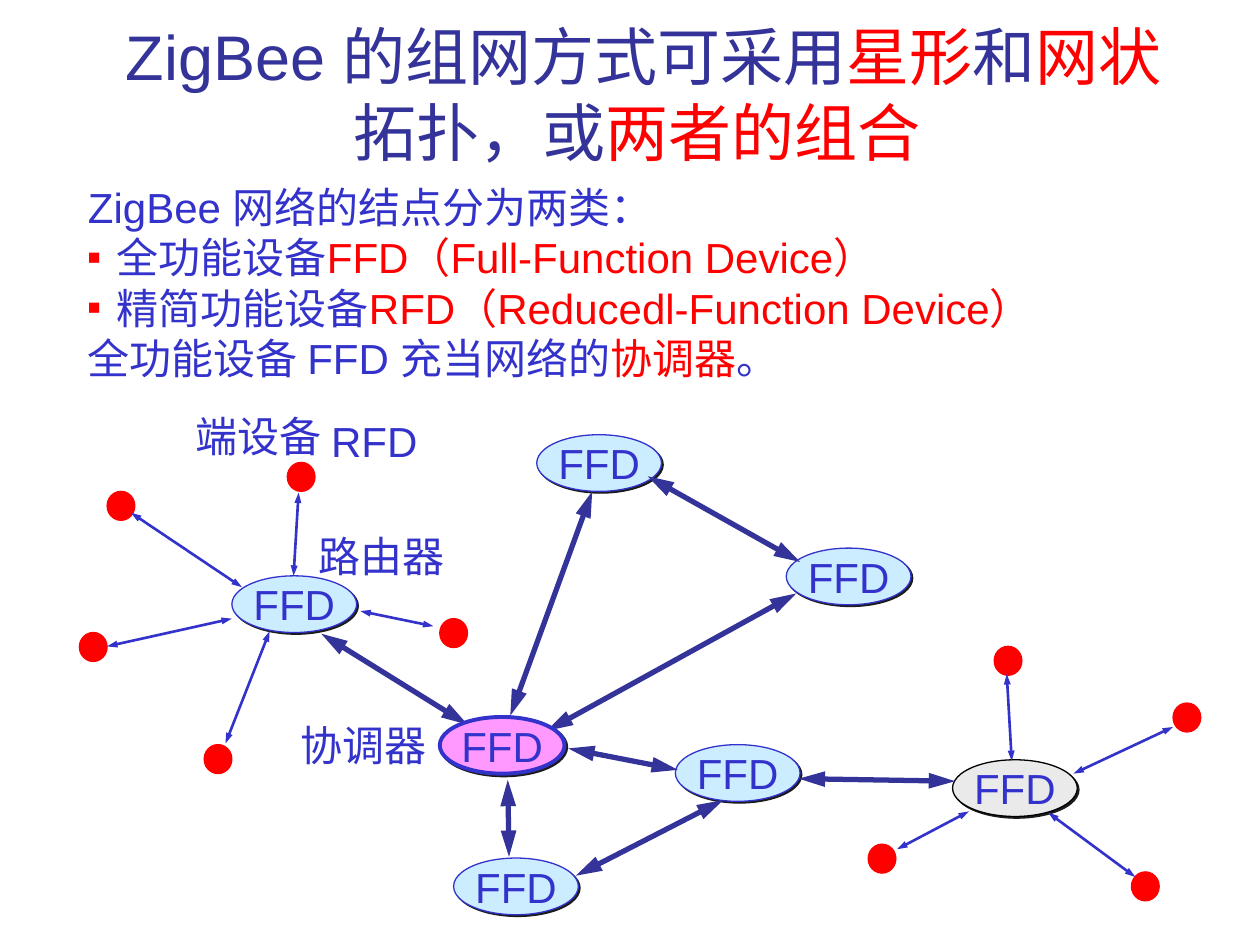
from lxml import etree
from pptx import Presentation
from pptx.dml.color import RGBColor
from pptx.enum import shapes, text
from pptx.oxml import ns
from pptx.util import Inches, Pt

C = {"navy": "333399", "blue": "3333CC", "red": "FF0000", "sky": "CCECFF",
     "pink": "FF99FF", "gray": "EAEAEA", "black": "000000", "shadow": "1C1C1C"}
NODE = (0.99, 0.45)
DOT = (0.22, 0.23)


def rgb(name):
    return RGBColor.from_string(C[name])


def sub(parent, tag, **attrs):
    return etree.SubElement(parent, ns.qn(tag), attrs)


def add_runs(p, runs, size):
    """Fill a paragraph with (text, colour) or (text, colour, font) runs."""
    for content, color, *font in runs:
        r = p.add_run()
        r.text = content
        fmt = {"size": Pt(size), "name": font[0] if font else "Arial"}
        for key, value in fmt.items():
            setattr(r.font, key, value)
        r.font.color.rgb = rgb(color)


def add_oval(s, x, y, size, fill, line, width=0.75):
    sp = s.shapes.add_shape(shapes.MSO_SHAPE.OVAL, Inches(x), Inches(y), *map(Inches, size))
    sp.shadow.inherit = False
    sp.fill.solid()
    sp.fill.fore_color.rgb = rgb(fill)
    sp.line.color.rgb = rgb(line)
    sp.line.width = Pt(width)
    return sp


def add_node(s, x, y, fill="sky", line="blue", width=0.75):
    sp = add_oval(s, x, y, NODE, fill, line, width)
    effects = sp._element.spPr.find(ns.qn("a:effectLst"))
    shadow = sub(effects, "a:outerShdw", dist=str(Pt(1.4)), dir="2700000",
                 algn="ctr", rotWithShape="0")
    sub(shadow, "a:srgbClr", val=C["shadow"])
    tf = sp.text_frame
    tf.word_wrap = False
    tf.vertical_anchor = text.MSO_ANCHOR.MIDDLE
    p = tf.paragraphs[0]
    p.alignment = text.PP_ALIGN.CENTER
    add_runs(p, [("FFD", "blue")], 24)


def add_links(s, left, top, links, color, width, head_width, head_length):
    for x1, y1, x2, y2 in links:
        line = s.shapes.add_connector(
            shapes.MSO_CONNECTOR.STRAIGHT, Inches(left + x1), Inches(top + y1),
            Inches(left + x2), Inches(top + y2))
        line.line.color.rgb = rgb(color)
        line.line.width = Pt(width)
        ln = line.line._get_or_add_ln()
        for end in ("a:headEnd", "a:tailEnd"):
            sub(ln, end, type="triangle", w=head_width, len=head_length)
        sub(line._element.spPr, "a:effectLst")


def add_label(s, x, y, width, content):
    tf = s.shapes.add_textbox(Inches(x), Inches(y), Inches(width), Inches(0.5)).text_frame
    tf.word_wrap = False
    tf.auto_size = text.MSO_AUTO_SIZE.SHAPE_TO_FIT_TEXT
    add_runs(tf.paragraphs[0], [(content, "blue")], 24)


def add_title(s, left, top, width, height):
    sp = s.shapes.title
    box = {"left": left, "top": top, "width": width, "height": height}
    for key, value in box.items():
        setattr(sp, key, Inches(value))
    tf = sp.text_frame
    fmt = {"word_wrap": True, "auto_size": text.MSO_AUTO_SIZE.NONE,
           "vertical_anchor": text.MSO_ANCHOR.BOTTOM}
    for key, value in fmt.items():
        setattr(tf, key, value)
    p = tf.paragraphs[0]
    p.alignment = text.PP_ALIGN.CENTER
    add_runs(p, [("ZigBee 的组网方式可采用", "navy"), ("星形", "red"), ("和", "navy"),
                 ("网状", "red"), ("拓扑，或", "navy"), ("两者的组合 ", "red")], 36)


def add_device_types(s, left, top, width, height):
    paragraphs = [
        (False, [("ZigBee 网络的结点分为两类：", "blue")]),
        (True, [("全功能设备", "blue"), ("FFD（Full-Function Device）", "red")]),
        (True, [("精简功能设备", "blue"), ("RFD（Reducedl-Function Device）", "red")]),
        (False, [("全功能设备 FFD 充当", "blue"), ("网络的", "blue", "Roboto"),
                 ("协调器", "red", "Roboto"), ("。", "blue", "Roboto")]),
    ]
    tf = s.shapes.add_textbox(*map(Inches, (left, top, width, height))).text_frame
    tf.word_wrap = True
    for i, (bulleted, runs) in enumerate(paragraphs):
        p = tf.add_paragraph() if i else tf.paragraphs[0]
        if bulleted:
            pPr = p._p.get_or_add_pPr()
            pPr.set("marL", str(Inches(0.23)))
            pPr.set("indent", str(Inches(-0.23)))
            sub(sub(pPr, "a:buClr"), "a:srgbClr", val=C["red"])
            sub(pPr, "a:buSzPct", val="50000")
            sub(pPr, "a:buFont", typeface="Arial")
            sub(pPr, "a:buChar", char="■")
        add_runs(p, runs, 24)


def add_star(s, left, top, router, devices, links, **node_style):
    """Place a router, its end devices and the links between them."""
    for x, y in devices:
        add_oval(s, left + x, top + y, DOT, "red", "red")
    add_node(s, left + router[0], top + router[1], **node_style)
    add_links(s, left, top, links, "blue", 1.5, "sm", "med")


def add_mesh(s, left, top):
    for x, y in [(0.11, 3.36), (2.75, 0.9), (0.77, 0), (1.87, 2.46)]:
        add_node(s, left + x, top + y)
    links = [(1.21, 0.45, 0.56, 2.23), (-0.94, 1.58, 0.22, 2.3),
             (1.65, 0.33, 2.86, 1.01), (2.83, 1.26, 0.85, 2.35),
             (0.54, 2.74, 0.55, 3.35), (1.89, 2.66, 1.02, 2.49),
             (4.09, 2.75, 2.85, 2.73), (2.25, 2.9, 1.08, 3.5)]
    add_links(s, left, top, links, "navy", 3, "med", "lg")
    add_node(s, left, top + 2.24, fill="pink", width=2.25)
    add_label(s, left - 1.2, top + 2.21, 1.2, "协调器")


def main():
    prs = Presentation()
    prs.slide_width, prs.slide_height = Inches(10), Inches(7.5)
    s = prs.slides.add_slide(prs.slide_layouts[5])
    add_title(s, 0.85, 0, 8.52, 1.39)
    add_device_types(s, 0.6, 1.39, 8.8, 1.7)
    add_star(s, 0.63, 3.67, (1.21, 0.9),
             [(1.65, 0), (0.22, 0.23), (0, 1.35), (0.99, 2.24), (2.86, 1.24)],
             [(0.41, 0.4, 1.29, 0.99), (2.23, 1.18, 2.81, 1.3), (1.74, 0.24, 1.7, 0.9),
              (0.22, 1.46, 1.21, 1.24), (1.51, 1.34, 1.16, 2.23)])
    add_star(s, 6.89, 5.13, (0.67, 0.9),
             [(2.09, 1.79), (0, 1.57), (2.42, 0.45), (1, 0)],
             [(2.42, 0.64, 1.63, 1.01), (1.1, 0.22, 1.14, 0.91),
              (1.43, 1.32, 2.12, 1.83), (0.8, 1.31, 0.23, 1.61)],
             fill="gray", line="black")
    add_mesh(s, 3.49, 3.45)
    add_label(s, 2.53, 3.25, 0.9, "RFD")
    add_label(s, 1.45, 3.21, 1.2, "端设备")
    add_label(s, 2.43, 4.16, 1.2, "路由器")
    prs.save("out.pptx")


if __name__ == "__main__":
    main()
